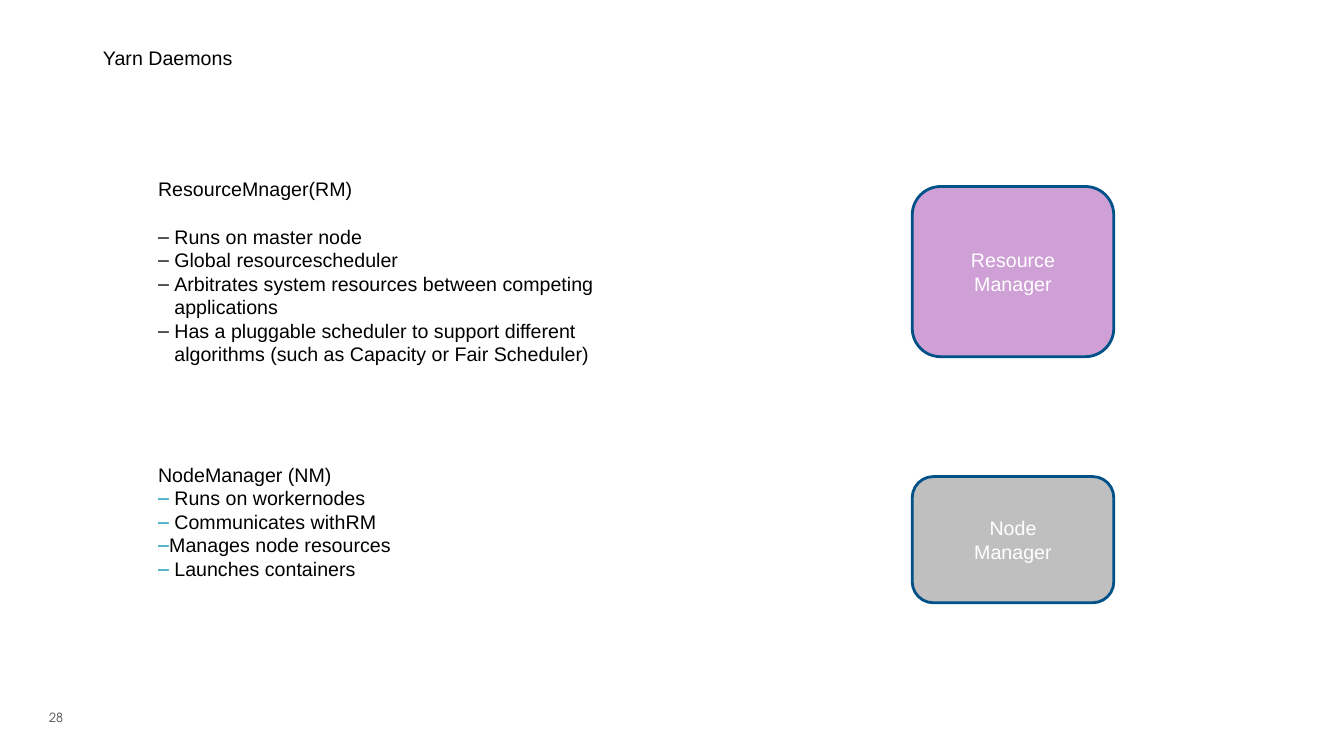
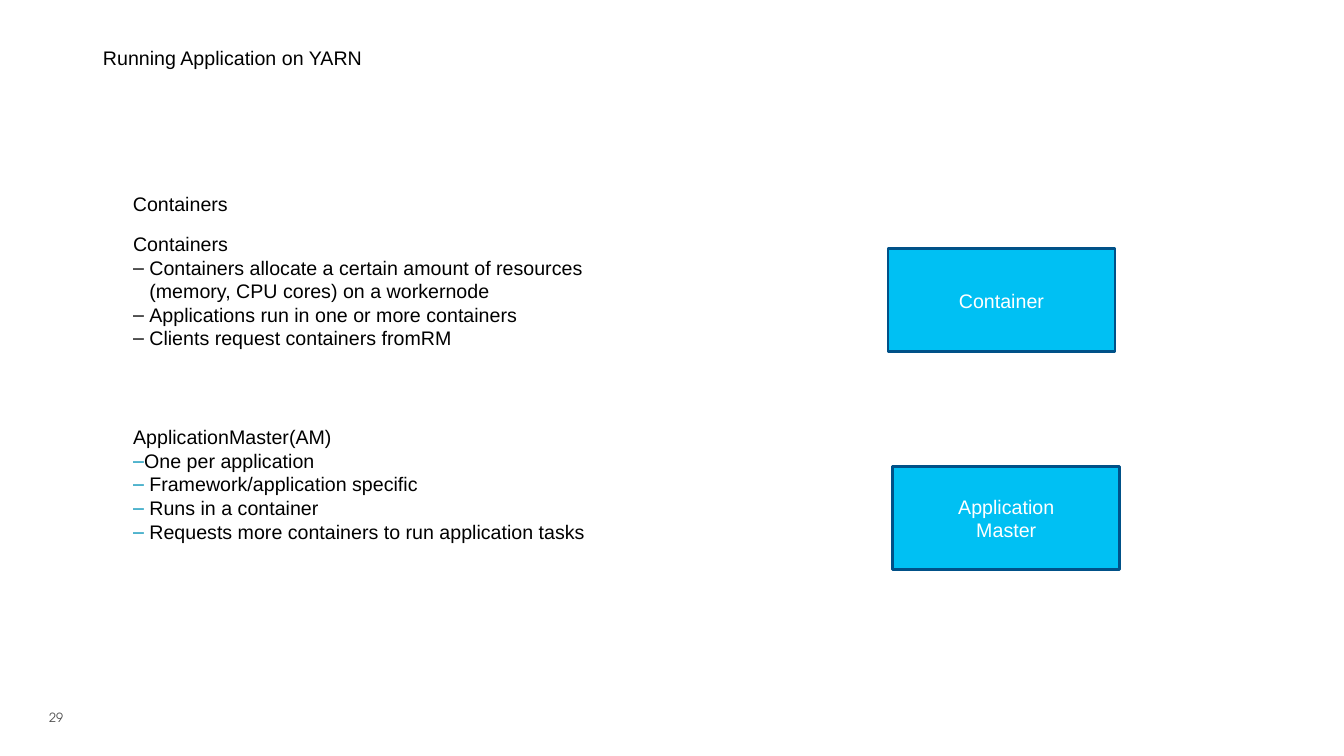
from dataclasses import dataclass
from lxml.etree import SubElement
from pptx import Presentation
from pptx.dml.color import RGBColor
from pptx.enum.shapes import MSO_SHAPE
from pptx.enum.text import MSO_ANCHOR, MSO_AUTO_SIZE, PP_ALIGN
from pptx.oxml.ns import qn
from pptx.util import Cm, Pt


@dataclass(frozen=True)
class Theme:
    face: str = "Arial"
    foot: str = "TeX Gyre Adventor"
    size: int = 14
    small: int = 9
    ink: str = "000000"
    gray: str = "4F4F4F"
    teal: str = "0092B7"
    edge: str = "005188"
    white: str = "FFFFFF"
    lilac: str = "CEA0D5"
    silver: str = "BFBFBF"
    cyan: str = "00C0F3"


LOOK = Theme()
TITLE = (2.34, 1.02, 29.21, 3.68)
NUMBER = (0.99, 17.58, 2.44, 1.02)
FRAME = {"word_wrap": True, "auto_size": MSO_AUTO_SIZE.NONE}
PLAIN = {"alignment": PP_ALIGN.LEFT, "space_before": Pt(0)}
CENTER = {**PLAIN, "alignment": PP_ALIGN.CENTER}
DASH = "–"


def apply(part, style):
    for name, value in style.items():
        setattr(part, name, value)


def place(shape, box):
    sides = ("left", "top", "width", "height")
    apply(shape, dict(zip(sides, map(Cm, box))))


def write(para, text, style=PLAIN, color=LOOK.ink, face=LOOK.face, size=LOOK.size):
    apply(para, style)
    run = para.add_run()
    run.text = text
    apply(run.font, {"name": face, "size": Pt(size)})
    run.font.color.rgb = RGBColor.from_string(color)


def open_frame(shape, anchor=MSO_ANCHOR.TOP):
    frame = shape.text_frame
    apply(frame, {**FRAME, "vertical_anchor": anchor})
    return frame


def lines(frame, count):
    """Yield the first paragraph, then new ones."""
    yield frame.paragraphs[0]
    for _ in range(count - 1):
        yield frame.add_paragraph()


def mark(para, color, indent):
    """Hanging dash, or no bullet when there is no indent."""
    props = para._p.get_or_add_pPr()
    props.set("marL", str(Cm(indent)))
    props.set("indent", str(-Cm(indent)))
    if not indent:
        SubElement(props, qn("a:buNone"))
        return
    tint = SubElement(props, qn("a:buClr"))
    SubElement(tint, qn("a:srgbClr")).set("val", color)
    SubElement(props, qn("a:buFont")).set("typeface", LOOK.face)
    SubElement(props, qn("a:buChar")).set("char", DASH)


# Regions
def add_list(holder, box, head, items, color, gap=0):
    """Heading with dashed items; gap opens space under the heading."""
    place(holder, box)
    frame = open_frame(holder)
    first, *rest = lines(frame, len(items) + 1)
    mark(first, color, 0)
    write(first, head)
    for item, para in zip(items, rest):
        text = item.removeprefix(DASH)
        mark(para, color, 0.41 if text.startswith(" ") else 0.28)
        write(para, text.strip())
    rest[0].space_before = Pt(gap)


def add_label(slide, box, text, style=PLAIN, anchor=MSO_ANCHOR.TOP, **font):
    label = slide.shapes.add_textbox(*map(Cm, box))
    write(open_frame(label, anchor).paragraphs[0], text, style, **font)


def add_node(slide, box, kind, fill, *words):
    node = slide.shapes.add_shape(kind, *map(Cm, box))
    node.shadow.inherit = False
    node.fill.solid()
    node.fill.fore_color.rgb = RGBColor.from_string(fill)
    node.line.color.rgb = RGBColor.from_string(LOOK.edge)
    node.line.width = Pt(2)
    frame = open_frame(node, MSO_ANCHOR.MIDDLE)
    for word, para in zip(words, lines(frame, len(words))):
        write(para, word, CENTER, LOOK.white)


def add_page(deck, title, number):
    """Slide with title and page number; returns it with its two bodies."""
    slide = deck.slides.add_slide(deck.slide_layouts[3])
    head, upper, lower = slide.placeholders
    place(head, TITLE)
    write(open_frame(head).paragraphs[0], title)
    add_label(slide, NUMBER, number, anchor=MSO_ANCHOR.MIDDLE,
              color=LOOK.gray, face=LOOK.foot, size=LOOK.small)
    return slide, upper, lower


# Slides
def daemons(deck):
    slide, upper, lower = add_page(deck, "Yarn Daemons", "28")
    add_list(upper, (3.73, 4.34, 12.4, 6.4), "ResourceMnager(RM)", [
        "– Runs on master node",
        "– Global resourcescheduler",
        "– Arbitrates system resources between competing applications",
        "– Has a pluggable scheduler to support different "
        "algorithms (such as Capacity or Fair Scheduler)",
    ], LOOK.ink, gap=17)
    add_list(lower, (3.73, 11.53, 16.94, 4.11), "NodeManager (NM)", [
        "– Runs on workernodes",
        "– Communicates withRM",
        "–Manages node resources",
        "– Launches containers",
    ], LOOK.teal)
    kind = MSO_SHAPE.ROUNDED_RECTANGLE
    add_node(slide, (22.99, 4.7, 5.08, 4.29), kind, LOOK.lilac, "Resource", "Manager")
    add_node(slide, (22.99, 12.01, 5.08, 3.18), kind, LOOK.silver, "Node", "Manager")


def running(deck):
    slide, upper, lower = add_page(deck, "Running Application on YARN", "29")
    add_label(slide, (3.1, 4.7, 27.28, 1.02), "Containers")
    add_list(upper, (3.1, 5.72, 12.4, 4.88), "Containers", [
        "– Containers allocate a certain amount of resources "
        "(memory, CPU cores) on a workernode",
        "– Applications run in one or more containers",
        "– Clients request containers fromRM",
    ], LOOK.ink)
    add_list(lower, (3.1, 10.59, 16.94, 4.11), "ApplicationMaster(AM)", [
        "–One per application",
        "– Framework/application specific",
        "– Runs in a container",
        "– Requests more containers to run application tasks",
    ], LOOK.teal)
    kind = MSO_SHAPE.RECTANGLE
    add_node(slide, (22.38, 6.27, 5.72, 2.59), kind, LOOK.cyan, "Container")
    add_node(slide, (22.5, 11.76, 5.72, 2.59), kind, LOOK.cyan, "Application", "Master")


def main():
    deck = Presentation()
    apply(deck, {"slide_width": Cm(33.87), "slide_height": Cm(19.05)})
    daemons(deck)
    running(deck)
    deck.save("out.pptx")


if __name__ == "__main__":
    main()
